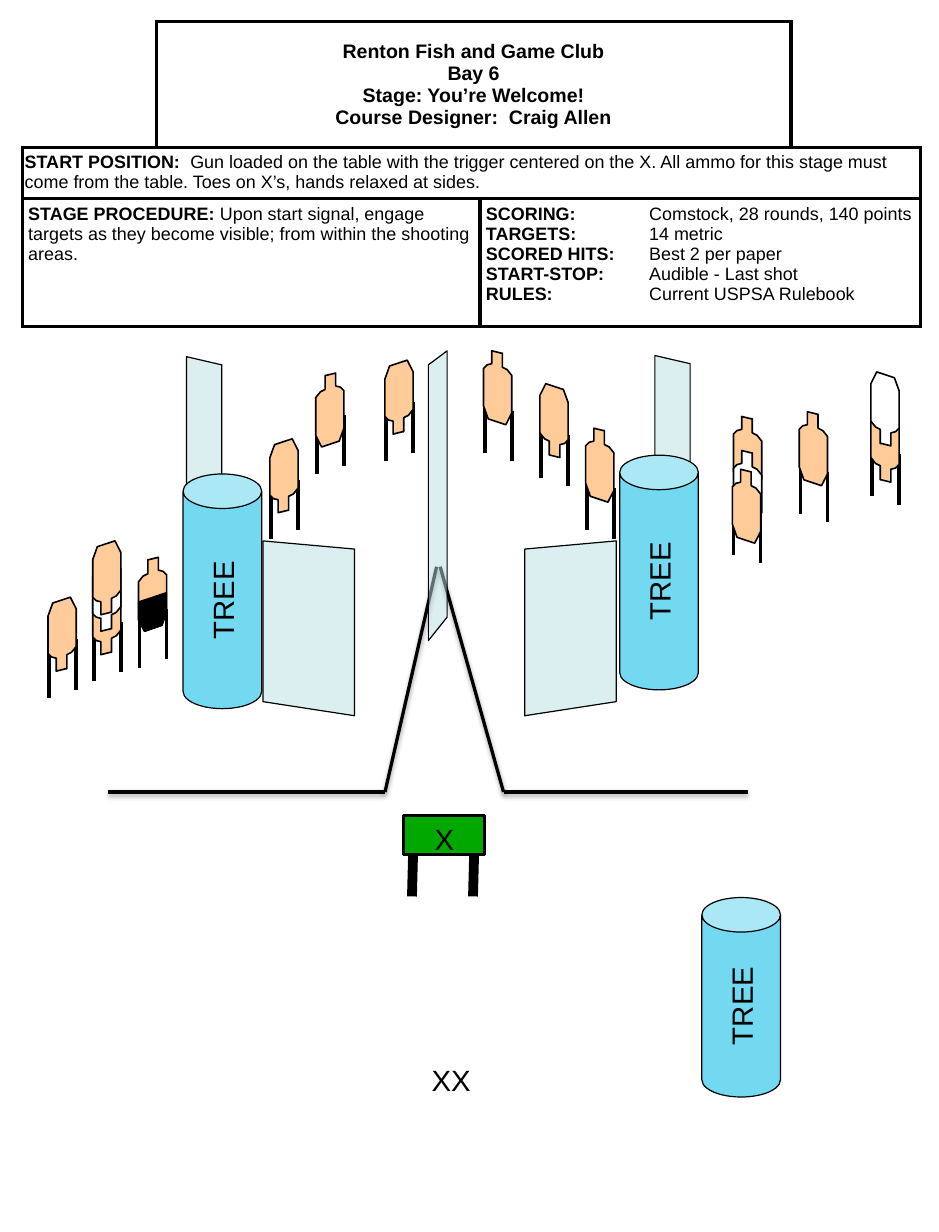
from lxml.etree import SubElement
from pptx import Presentation
from pptx.dml.color import RGBColor
from pptx.enum.shapes import MSO_CONNECTOR, MSO_SHAPE
from pptx.enum.text import MSO_ANCHOR, PP_ALIGN
from pptx.oxml.ns import qn
from pptx.util import Inches, Pt

TAN, WHITE, BLACK = "FFCC99", "FFFFFF", "000000"
OUTLINE = [(.15, .02), (.07, 0), (.07, .11), (.03, .12), (0, .15), (0, .47), (.04, .58),
           (.19, .63), (.24, .53), (.24, .21), (.2, .16), (.16, .14), (.16, .02)]
HARD_COVER = [(0, .54), (.06, .63), (.2, .58), (.24, .45), (.24, .3), (0, .38)]


def rgb(value):
    return RGBColor.from_string(value)


def paint(sp, fill, width):
    sp.shadow.inherit = False
    sp.fill.solid()
    sp.fill.fore_color.rgb = rgb(fill)
    sp.line.color.rgb = rgb(BLACK)
    sp.line.width = Pt(width)
    return sp


def add_run(p, text, size, bold=False):
    r = p.add_run()
    r.text = text
    for name, value in {"name": "Arial", "size": Pt(size), "bold": bold}.items():
        setattr(r.font, name, value)
    r.font.color.rgb = rgb(BLACK)


def outline(shapes, x, y, points, fill, width):
    spots = [(Inches(x + dx), Inches(y + dy)) for dx, dy in points]
    builder = shapes.build_freeform(*spots[0])
    builder.add_line_segments(spots[1:], close=True)
    return paint(builder.convert_to_shape(), fill, width)


def line(shapes, start, end, width, shadow=False):
    c = shapes.add_connector(MSO_CONNECTOR.STRAIGHT, *map(Inches, start + end))
    c.line.color.rgb = rgb(BLACK)
    c.line.width = Pt(width)
    effects = SubElement(c._element.spPr, qn("a:effectLst"))
    if shadow:
        outer = SubElement(effects, qn("a:outerShdw"), blurRad=str(Pt(3.1)),
                           dist=str(Pt(1.6)), dir="5400000", rotWithShape="0")
        color = SubElement(outer, qn("a:srgbClr"), val=BLACK)
        SubElement(color, qn("a:alpha"), val="38000")


def wall(shapes, x, y, w, left=(0, 1.37), right=(.07, 1.49)):
    points = [(w, right[0]), (0, left[0]), (0, left[1]), (w, right[1])]
    sp = outline(shapes, x, y, points, "BBE0E3", .75)
    color = sp._element.spPr.find(qn("a:solidFill")).find(qn("a:srgbClr"))
    SubElement(color, qn("a:alpha"), val="50000")


def target(shapes, x, y, color, mirrored=False, flipped=False):
    points = [(.24 - dx if mirrored else dx, .63 - dy if flipped else dy) for dx, dy in OUTLINE]
    outline(shapes, x, y, points, color, 1)


def target_stand(shapes, x, leg_y, mirrored, flipped, targets, hard_cover=False):
    group = shapes.add_group_shape().shapes
    right_high = mirrored != flipped
    for dx, lower in ((.01, right_high), (.24, not right_high)):
        top = leg_y + (.07 if lower else 0)
        line(group, (x + dx, top), (x + dx, top + .43), 2.25)
    for y, color in targets:
        target(group, x, y, color, mirrored, flipped)
    if hard_cover:
        outline(group, x, targets[0][0], HARD_COVER, BLACK, 0)


def tree(shapes, x, y, h):
    sp = paint(shapes.add_shape(MSO_SHAPE.CAN, *map(Inches, (x, y, .67, h))), "73D9F1", .75)
    sp.adjustments[0] = .439
    tf = sp.text_frame
    tf.word_wrap = False
    tf.vertical_anchor = MSO_ANCHOR.MIDDLE
    tf._txBody.bodyPr.set("vert", "vert270")
    add_run(tf.paragraphs[0], "TREE", 18)


def gun_table(shapes, x, y):
    group = shapes.add_group_shape().shapes
    for dx in (.59, .07):
        outline(group, x + dx, y + .31, [(.01, 0), (0, .38)], "00A800", 6)
    top = outline(group, x, y, [(0, 0), (.69, 0), (.69, .33), (0, .33)], "00A800", 1.75)
    tf = top.text_frame
    tf.vertical_anchor = MSO_ANCHOR.TOP
    tf.paragraphs[0].alignment = PP_ALIGN.CENTER
    add_run(tf.paragraphs[0], "X", 18)


def style_cell(cell, sides, margins):
    tcPr = cell._tc.get_or_add_tcPr()
    for side in "LRTB":
        ln = SubElement(tcPr, qn(f"a:ln{side}"), w=str(Pt(2.25) if side in sides else 0))
        if side in sides:
            fill = SubElement(ln, qn("a:solidFill"))
            SubElement(fill, qn("a:srgbClr"), val=BLACK)
        else:
            SubElement(ln, qn("a:noFill"))
    cell.fill.solid()
    cell.fill.fore_color.rgb = rgb(WHITE)
    for name, value in zip(("left", "top", "right", "bottom"), margins):
        setattr(cell, f"margin_{name}", Inches(value))


def briefing(shapes, x, y):
    widths, heights = (1.14, 2.76, 2.65, 1.1), (1.08, .43, 1.09)
    frame = shapes.add_table(3, 4, *map(Inches, (x, y, sum(widths), sum(heights))))
    table = frame.table
    table.first_row = table.horz_banding = False
    for col, w in zip(table.columns, widths):
        col.width = Inches(w)
    for row, h in zip(table.rows, heights):
        row.height = Inches(h)
    for r in range(3):
        for c in range(4):
            sides = {(0, 0): "RB", (0, 3): "LB"}.get((r, c), "LRTB")
            margins = (.02, .04, .02, .04) if r == 1 else (.05,) * 4
            style_cell(table.cell(r, c), sides, margins)
    for first, last in (((0, 1), (0, 2)), ((1, 0), (1, 3)), ((2, 0), (2, 1)), ((2, 2), (2, 3))):
        table.cell(*first).merge(table.cell(*last))

    heading = table.cell(0, 1)
    heading.vertical_anchor = MSO_ANCHOR.MIDDLE
    p = heading.text_frame.paragraphs[0]
    p.alignment = PP_ALIGN.CENTER
    for i, text in enumerate(("Renton Fish and Game Club", "Bay 6", "Stage: You’re Welcome!",
                              "Course Designer:  Craig Allen")):
        if i:
            p.add_line_break()
        add_run(p, text, 12, True)
    for br in p._p.findall(qn("a:br")):
        SubElement(br, qn("a:rPr"), sz="1200", b="1")

    for row, label, text in (
            (1, "START POSITION:  ", "Gun loaded on the table with the trigger centered on the X. "
             "All ammo for this stage must come from the table. Toes on X’s, hands relaxed at sides."),
            (2, "STAGE PROCEDURE: ", "Upon start signal, engage targets as they become visible; "
             "from within the shooting areas.")):
        p = table.cell(row, 0).text_frame.paragraphs[0]
        add_run(p, label, 11, True)
        add_run(p, text, 11)

    tf = table.cell(2, 2).text_frame
    for i, (label, text) in enumerate((
            ("SCORING:", "Comstock, 28 rounds, 140 points"), ("TARGETS:", "14 metric"),
            ("SCORED HITS:", "Best 2 per paper"), ("START-STOP:", "Audible - Last shot"),
            ("RULES:", "Current USPSA Rulebook"))):
        p = tf.add_paragraph() if i else tf.paragraphs[0]
        tabs = SubElement(p._p.get_or_add_pPr(), qn("a:tabLst"))
        SubElement(tabs, qn("a:tab"), pos=str(Inches(1.39)), algn="l")
        add_run(p, label + "\t", 11, True)
        add_run(p, text, 11)


def start_marks(shapes, x, y):
    tf = shapes.add_textbox(*map(Inches, (x, y, .54, .4))).text_frame
    tf.word_wrap = False
    add_run(tf.paragraphs[0], "XX", 18)


def main():
    prs = Presentation()
    prs.slide_width, prs.slide_height = Inches(8), Inches(10.5)
    s = prs.slides.add_slide(prs.slide_layouts[6]).shapes
    for start, end in (((.92, 6.75), (3.28, 6.75)), ((4.29, 6.75), (6.37, 6.75)),
                       ((3.28, 6.75), (3.72, 4.83)), ((3.75, 4.83), (4.29, 6.75))):
        line(s, start, end, 2, shadow=True)
    wall(s, 1.59, 3.04, .3)
    wall(s, 5.58, 3.03, .3)
    target(s, 6.25, 3.55, TAN)
    target(s, 6.25, 3.84, WHITE)
    briefing(s, .19, .18)
    for x, y, h in ((5.28, 3.88, 2), (1.56, 4.04, 2), (5.98, 7.65, 1.7)):
        tree(s, x, y, h)
    start_marks(s, 3.58, 9)
    wall(s, 2.24, 4.61, .78)
    wall(s, 4.47, 4.61, .78, left=(.07, 1.49), right=(0, 1.37))
    target_stand(s, .79, 5.3, False, True, [(4.95, TAN), (4.75, WHITE), (4.61, TAN)])
    target_stand(s, 1.18, 5.19, True, False, [(4.75, TAN)], hard_cover=True)
    target_stand(s, 7.42, 3.8, True, True, [(3.48, TAN), (3.17, WHITE)])
    for x, y, leg_y, mirrored, flipped in (
            (.41, 5.09, 5.45, False, True), (6.24, 4, 4.3, False, False),
            (6.81, 3.51, 3.95, False, False), (4.12, 2.99, 3.43, False, False),
            (4.99, 3.65, 4.09, False, False), (2.3, 3.74, 4.09, False, True),
            (3.28, 3.07, 3.43, False, True), (2.69, 3.18, 3.54, True, False),
            (4.6, 3.27, 3.64, True, True)):
        target_stand(s, x, leg_y, mirrored, flipped, [(y, TAN)])
    gun_table(s, 3.44, 6.95)
    wall(s, 3.65, 2.99, .16, left=(.12, 2.47), right=(0, 2.27))
    prs.save("out.pptx")


if __name__ == "__main__":
    main()
